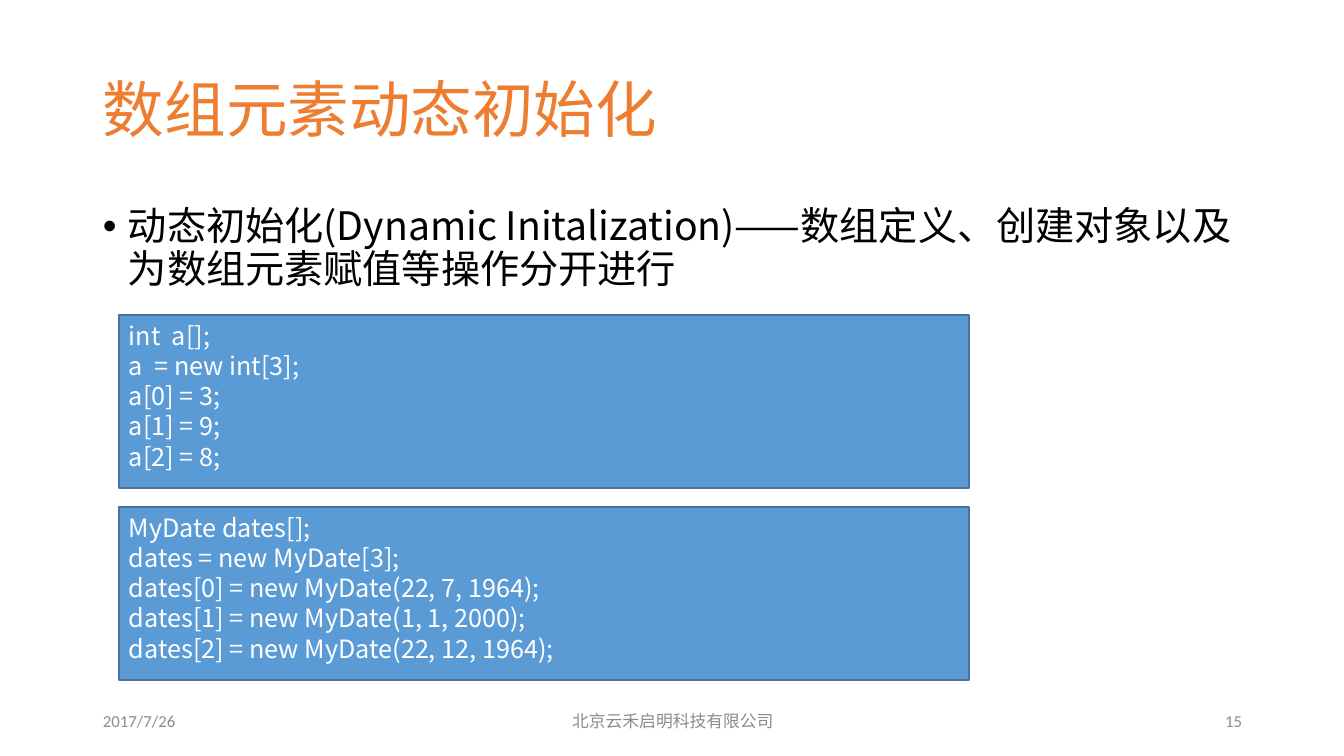
from lxml.etree import SubElement
from pptx import Presentation
from pptx.dml.color import RGBColor
from pptx.enum.shapes import MSO_SHAPE as Preset
from pptx.enum.text import MSO_ANCHOR as Anchor, PP_ALIGN as Align
from pptx.oxml.ns import qn
from pptx.util import Emu, Pt

# Content
TITLE = "数组元素动态初始化"
BULLET = "动态初始化(Dynamic Initalization)——数组定义、创建对象以及为数组元素赋值等操作分开进行"
CODE_BLOCKS = [
    ["int  a[];", "a  = new int[3];", "a[0] = 3;", "a[1] = 9;", "a[2] = 8;"],
    [
        "MyDate dates[];",
        "dates = new MyDate[3];",
        "dates[0] = new MyDate(22, 7, 1964);",
        "dates[1] = new MyDate(1, 1, 2000);",
        "dates[2] = new MyDate(22, 12, 1964);",
    ],
]
HAN, LATIN = "Noto Sans CJK SC", "Calibri"
FOOTER = [  # text, left, width, alignment, font
    ("2017/7/26", 93, 302, Align.LEFT, LATIN),
    ("北京云禾启明科技有限公司", 446, 454, Align.CENTER, HAN),
    ("15", 950, 302, Align.RIGHT, LATIN),
]

# Layout in px
SLIDE_WIDTH, SLIDE_HEIGHT = 1344, 756
MARGIN = 93
FOOTER_TOP, FOOTER_HEIGHT = 701, 40
CODE_LEFT, CODE_TOP, CODE_WIDTH, CODE_HEIGHT, CODE_GAP = 119, 315, 850, 173, 19
BULLET_INDENT = 25


def px(length):
    return Emu(round(length * 914400 / 100.8))


def color(value):
    return RGBColor.from_string(value)


def write(shape, lines, size, ink, font=HAN, align=Align.LEFT,
          anchor=Anchor.TOP, spacing=1.0, before=0):
    frame = shape.text_frame
    frame.word_wrap = True
    frame.vertical_anchor = anchor
    for index, line in enumerate(lines):
        paragraph = frame.add_paragraph() if index else frame.paragraphs[0]
        paragraph.alignment = align
        paragraph.line_spacing = spacing
        paragraph.space_before = Pt(before)
        run = paragraph.add_run()
        run.text = line
        run.font.name = font
        run.font.size = Pt(size)
        run.font.color.rgb = color(ink)
        SubElement(run.font._element, qn("a:ea"), typeface=font)
    return frame


def add_text(slide, box, lines, size, ink, **style):
    shape = slide.shapes.add_textbox(*map(px, box))
    return write(shape, lines, size, ink, **style)


def add_bullet(paragraph):
    properties = paragraph._p.get_or_add_pPr()
    properties.set("marL", str(px(BULLET_INDENT)))
    properties.set("indent", str(-px(BULLET_INDENT)))
    SubElement(properties, qn("a:buFont"), typeface="Arial")
    SubElement(properties, qn("a:buChar"), char="•")


def add_code(slide, box, lines):
    shape = slide.shapes.add_shape(Preset.RECTANGLE, *map(px, box))
    shape.shadow.inherit = False
    shape.fill.solid()
    shape.fill.fore_color.rgb = color("5B9BD5")
    shape.line.color.rgb = color("43739E")
    shape.line.width = Pt(1)
    write(shape, lines, 18, "FFFFFF", align=Align.JUSTIFY)


def main():
    presentation = Presentation()
    presentation.slide_width = px(SLIDE_WIDTH)
    presentation.slide_height = px(SLIDE_HEIGHT)
    slide = presentation.slides.add_slide(presentation.slide_layouts[6])

    # Title and bullet
    add_text(slide, (MARGIN, 40, 876, 146), [TITLE], 44, "ED7D31",
             anchor=Anchor.MIDDLE, spacing=0.9)
    body = add_text(slide, (MARGIN, 202, 1159, 480), [BULLET], 28, "000000",
                    spacing=0.9, before=10)
    add_bullet(body.paragraphs[0])

    # Footer
    for text, left, width, align, font in FOOTER:
        add_text(slide, (left, FOOTER_TOP, width, FOOTER_HEIGHT), [text], 12,
                 "8C8C8C", font=font, align=align, anchor=Anchor.MIDDLE)

    # Code blocks
    for index, lines in enumerate(CODE_BLOCKS):
        top = CODE_TOP + index * (CODE_HEIGHT + CODE_GAP)
        add_code(slide, (CODE_LEFT, top, CODE_WIDTH, CODE_HEIGHT), lines)

    presentation.save("out.pptx")


if __name__ == "__main__":
    main()
